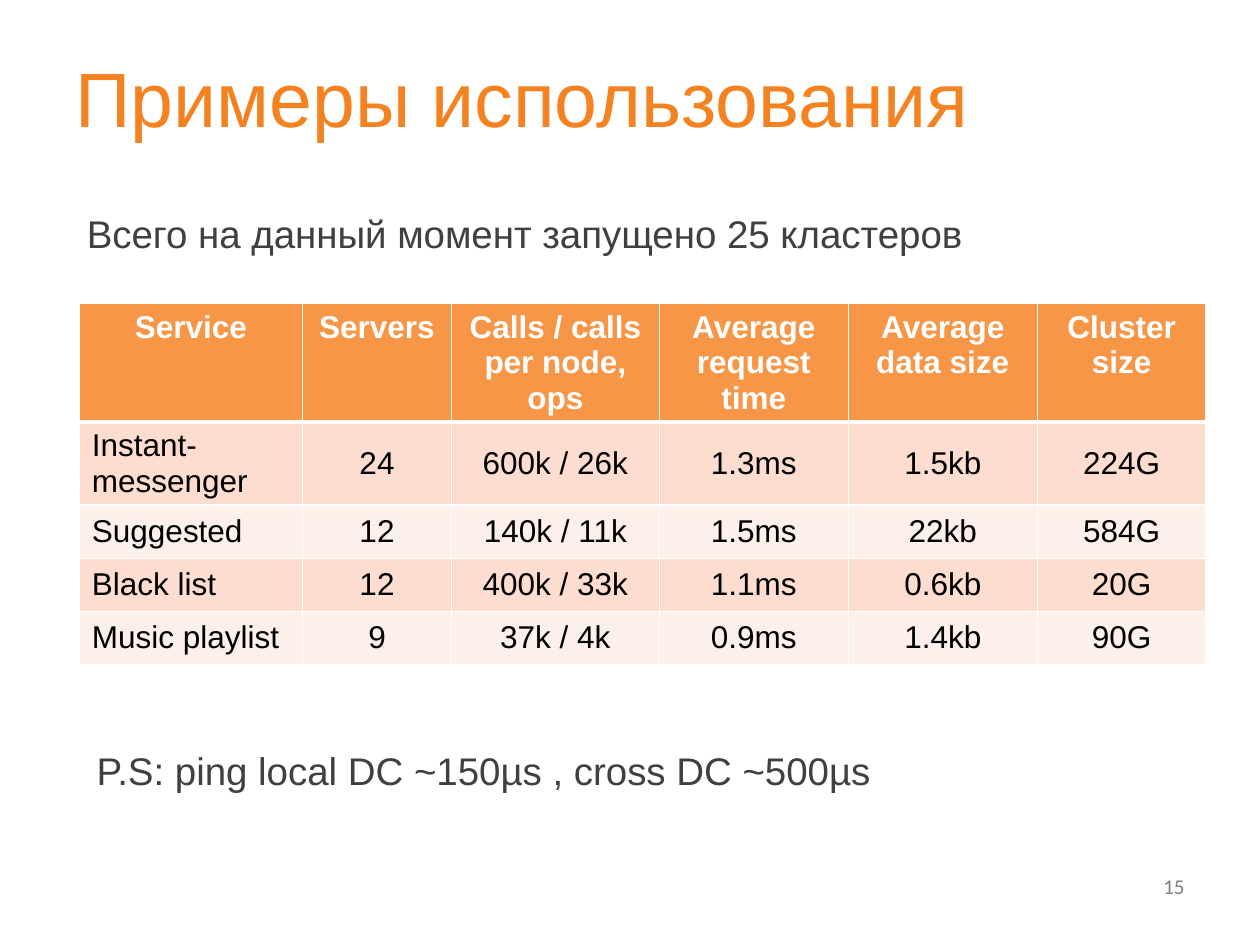
from lxml.etree import SubElement
from pptx import Presentation
from pptx.dml.color import RGBColor
from pptx.enum.text import MSO_ANCHOR as Anchor, PP_ALIGN as Align
from pptx.oxml.ns import qn
from pptx.util import Cm, Pt

ORANGE, GREY, WHITE, BLACK = "F58220", "404040", "FFFFFF", "000000"
HEADER_FILL, BAND_FILLS = "F79646", ("FCDDCF", "FDEFE9")

SERVICES = [
    ("Service", "Servers", "Calls / calls per node, ops",
     "Average request time", "Average data size", "Cluster size"),
    ("Instant-messenger", "24", "600k / 26k", "1.3ms", "1.5kb", "224G"),
    ("Suggested", "12", "140k / 11k", "1.5ms", "22kb", "584G"),
    ("Black list", "12", "400k / 33k", "1.1ms", "0.6kb", "20G"),
    ("Music playlist", "9", "37k / 4k", "0.9ms", "1.4kb", "90G"),
]
COLUMN_WIDTHS = (4.5, 3, 4.19, 3.81, 3.81, 3.4)
ROW_HEIGHTS = (1.83, 1.17, 1.07, 1.07, 1.07)


def colour(hex_string):
    return RGBColor.from_string(hex_string)


def write(frame, text, size, hex_string, font="Arial", bold=False,
          align=Align.LEFT):
    paragraph = frame.paragraphs[0]
    paragraph.alignment = align
    run = paragraph.add_run()
    run.text = text
    run.font.size = Pt(size)
    run.font.name = font
    run.font.bold = bold
    run.font.color.rgb = colour(hex_string)


def set_title(slide, text):
    title = slide.shapes.title
    title.left, title.top = Cm(1.27), Cm(0.76)
    title.width, title.height = Cm(22.86), Cm(2.36)
    title.text_frame.vertical_anchor = Anchor.MIDDLE
    write(title.text_frame, text, 44, ORANGE)


def add_text(slide, left, top, width, height, text, size, hex_string,
             anchor=Anchor.TOP, **style):
    box = slide.shapes.add_textbox(Cm(left), Cm(top), Cm(width), Cm(height))
    box.text_frame.word_wrap = True
    box.text_frame.vertical_anchor = anchor
    write(box.text_frame, text, size, hex_string, **style)


def set_borders(cell, **widths):
    """Draw white borders, given in points by side: L, R, T, B in that order."""
    properties = cell._tc.get_or_add_tcPr()
    for side, width in widths.items():
        line = SubElement(properties, qn(f"a:ln{side}"), w=str(Pt(width)))
        fill = SubElement(line, qn("a:solidFill"))
        SubElement(fill, qn("a:srgbClr"), val=WHITE)


def fill_cell(cell, text, row, column):
    header = row == 0
    set_borders(cell, L=1, R=1, T=3 if row == 1 else 1, B=3 if header else 1)
    cell.fill.solid()
    cell.fill.fore_color.rgb = colour(
        HEADER_FILL if header else BAND_FILLS[(row - 1) % 2])
    cell.vertical_anchor = Anchor.TOP if header else Anchor.MIDDLE
    write(cell.text_frame, text, 18, WHITE if header else BLACK, bold=header,
          align=Align.CENTER if header or column else Align.LEFT)


def add_services_table(slide):
    table = slide.shapes.add_table(
        len(SERVICES), len(COLUMN_WIDTHS), Cm(1.6), Cm(6.12),
        Cm(sum(COLUMN_WIDTHS)), Cm(sum(ROW_HEIGHTS))).table
    for column, width in zip(table.columns, COLUMN_WIDTHS):
        column.width = Cm(width)
    for row, height in zip(table.rows, ROW_HEIGHTS):
        row.height = Cm(height)
    for r, values in enumerate(SERVICES):
        for c, value in enumerate(values):
            fill_cell(table.cell(r, c), value, r, c)


def main():
    deck = Presentation()
    deck.slide_width, deck.slide_height = Cm(25.4), Cm(19.05)
    slide = deck.slides.add_slide(deck.slide_layouts[5])
    set_title(slide, "Примеры использования")
    add_services_table(slide)
    add_text(slide, 18.21, 17.35, 5.92, 1.02, "15", 12, "7F7F7F",
             anchor=Anchor.MIDDLE, font="Calibri", align=Align.RIGHT)
    add_text(slide, 1.5, 4.11, 21.79, 1.19,
             "Всего на данный момент запущено 25 кластеров", 22, GREY)
    add_text(slide, 1.7, 14.94, 21.79, 1.19,
             "P.S: ping local DC ~150µs , cross DC ~500µs", 22, GREY)
    deck.save("out.pptx")


if __name__ == "__main__":
    main()
